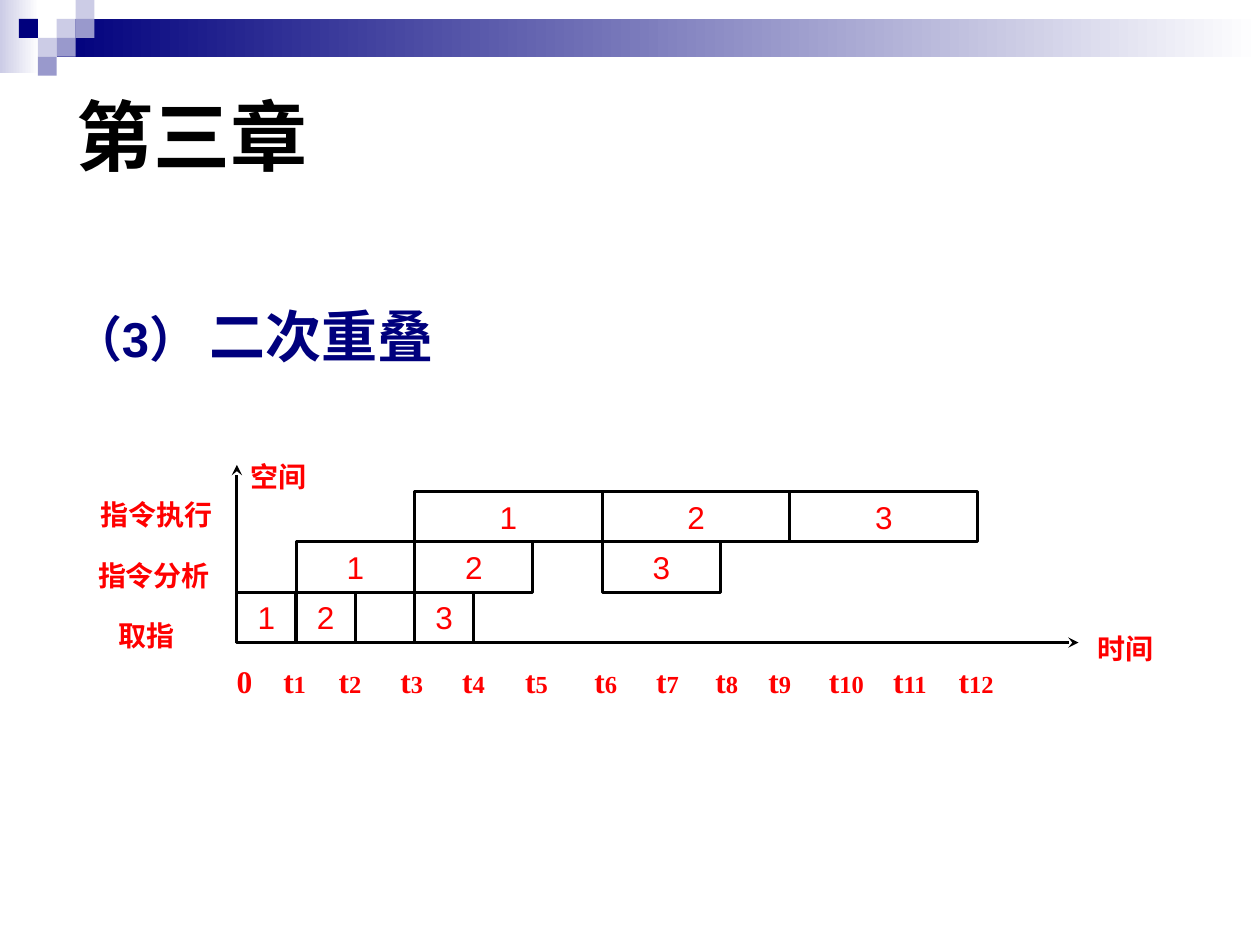
"""Build the slide on twofold overlap of instruction stages."""
from lxml.etree import SubElement
from pptx import Presentation
from pptx.dml.color import RGBColor
from pptx.enum.shapes import MSO_CONNECTOR as Link, MSO_SHAPE as Shape
from pptx.enum.text import MSO_ANCHOR as Anchor, MSO_AUTO_SIZE as Fit, PP_ALIGN as Align
from pptx.oxml.ns import qn
from pptx.util import Inches, Pt

COLORS = {"navy": "00007D", "mid": "9999CC", "pale": "CCCCE6",
          "white": "FFFFFF", "black": "000000", "red": "FF0000"}
PIXEL = 0.15
PIXELS = [(3, 1, "pale"), (4, 0, "pale"), (4, 1, "mid"), (2, 2, "pale"),
          (1, 1, "navy"), (3, 2, "mid"), (2, 3, "mid")]
ORIGIN_X, ORIGIN_Y = 1.88, 5.1
SLOT, ROW = 0.47, 0.4
FETCH, ANALYSE, EXECUTE = 1, 2, 3.17
STAGE_LENGTHS = (FETCH, ANALYSE, EXECUTE)
INSTRUCTION_STARTS = [(0, 1, 3), (1, 3, 3 + EXECUTE), (3, 3 + EXECUTE, 3 + 2 * EXECUTE)]
LABELS = [("时间", 8.61, 4.83, 0.99, 1.5), ("空间", 1.89, 3.6, 0.99, 1),
          ("指令执行", 0.7, 3.74, 1.48, 1.6), ("指令分析", 0.68, 4.22, 1.48, 1.6),
          ("取指", 0.84, 4.7, 0.94, 1.6)]
TICK_STOPS = [0.37, 0.81, 1.3, 1.79, 2.29, 2.84, 3.33, 3.8, 4.22, 4.7, 5.21, 5.73]


def rgb(name):
    """Return the named colour."""
    return RGBColor.from_string(COLORS[name])


def style(font, size, color, face="Arial", bold=True):
    """Set the look of a font."""
    font.size, font.name, font.bold = Pt(size), face, bold
    font.color.rgb = rgb(color)


def place(element, left, top, width, height):
    """Move and size an element in inches."""
    element.left, element.top = Inches(left), Inches(top)
    element.width, element.height = Inches(width), Inches(height)


def add_block(slide, left, top, width, height, color, fade=False):
    """Add a borderless rectangle, plain or fading to white."""
    block = slide.shapes.add_shape(Shape.RECTANGLE, *map(Inches, (left, top, width, height)))
    block.shadow.inherit = False
    block.line.fill.background()
    if fade:
        block.fill.gradient()
        block.fill.gradient_angle = 0
        for stop, name in zip(block.fill.gradient_stops, (color, "white")):
            stop.color.rgb = rgb(name)
    else:
        block.fill.solid()
        block.fill.fore_color.rgb = rgb(color)
    return block


def add_banner(slide):
    """Add the fading bar and the mosaic at the top."""
    add_block(slide, 0, 0, 0.31, 0.58, "pale", fade=True)
    add_block(slide, 3 * PIXEL, PIXEL, 10 - 3 * PIXEL, 2 * PIXEL, "navy", fade=True)
    for column, row, color in PIXELS:
        add_block(slide, column * PIXEL, row * PIXEL, PIXEL, PIXEL, color)


def fill_placeholders(slide):
    """Write the chapter title and the section heading."""
    title, body = slide.placeholders
    place(title, 0.51, 0.52, 9, 1.1)
    place(body, 0.48, 2.34, 9.06, 0.71)
    title.text_frame.text = "第三章"
    chapter = title.text_frame.paragraphs[0]
    style(chapter.font, 44, "black")
    heading = body.text_frame.paragraphs[0]
    for words, size in (("（3） ", 28), ("二次重叠", 32)):
        part = heading.add_run()
        part.text = words
        style(part.font, size, "navy")
    heading.space_before = Pt(8)
    properties = heading._p.get_or_add_pPr()
    properties.set("marL", str(Inches(0.38)))
    properties.set("indent", str(-Inches(0.38)))
    SubElement(properties, qn("a:buNone"))
    for frame, anchor in ((title.text_frame, Anchor.MIDDLE), (body.text_frame, Anchor.TOP)):
        frame.auto_size, frame.vertical_anchor = Fit.NONE, anchor
        frame.paragraphs[0].alignment = Align.LEFT


def add_axis(slide, end_x, end_y):
    """Add an arrow from the origin of the diagram."""
    axis = slide.shapes.add_connector(
        Link.STRAIGHT, *map(Inches, (ORIGIN_X, ORIGIN_Y, end_x, end_y)))
    axis.line.color.rgb = rgb("black")
    axis.line.width = Pt(1.75)
    SubElement(axis.line._get_or_add_ln(), qn("a:tailEnd"), type="stealth")
    SubElement(axis._element.spPr, qn("a:effectLst"))


def add_stage(slide, number, start, length, row):
    """Add one instruction's stage, counted in slots and rows up from the axis."""
    stage = add_block(slide, ORIGIN_X + start * SLOT, ORIGIN_Y - (row + 1) * ROW,
                      length * SLOT, ROW, "white")
    stage.line.color.rgb = rgb("black")
    stage.line.width = Pt(1.75)
    frame = stage.text_frame
    frame.text, frame.word_wrap, frame.vertical_anchor = str(number), False, Anchor.MIDDLE
    frame.paragraphs[0].alignment = Align.CENTER
    style(frame.paragraphs[0].font, 18, "red", bold=False)


def add_caption(slide, left, top, width, spacing):
    """Add an empty red caption and return its paragraph."""
    frame = slide.shapes.add_textbox(*map(Inches, (left, top, width, 0.61))).text_frame
    frame.word_wrap = True
    caption = frame.paragraphs[0]
    caption.alignment, caption.line_spacing = Align.JUSTIFY, spacing
    style(caption.font, 16, "red", "Times New Roman")
    return caption


def add_ticks(slide):
    """Add the time marks below the axis, set on tab stops."""
    ticks = add_caption(slide, 1.78, 5.04, 7.9, 1.55)
    stops = SubElement(ticks._p.get_or_add_pPr(), qn("a:tabLst"))
    ticks._p.pPr.insert(1, stops)
    marks = [("0", 18)]
    for number, position in enumerate(TICK_STOPS, 1):
        SubElement(stops, qn("a:tab"), pos=str(Inches(position)), algn="l")
        marks += [("\tt", 18), (str(number), 14)]
    for words, size in marks:
        mark = ticks.add_run()
        mark.text = words
        style(mark.font, size, "red", "Times New Roman")


def main():
    """Build and save the slide."""
    deck = Presentation()
    deck.slide_width, deck.slide_height = Inches(10), Inches(7.5)
    slide = deck.slides.add_slide(deck.slide_layouts[1])
    add_banner(slide)
    fill_placeholders(slide)
    add_axis(slide, 8.56, ORIGIN_Y)
    add_axis(slide, ORIGIN_X, 3.69)
    for words, left, top, width, spacing in LABELS:
        add_caption(slide, left, top, width, spacing).add_run().text = words
    add_ticks(slide)
    for number, starts in enumerate(INSTRUCTION_STARTS, 1):
        for row, (start, length) in enumerate(zip(starts, STAGE_LENGTHS)):
            add_stage(slide, number, start, length, row)
    deck.save("out.pptx")


if __name__ == "__main__":
    main()
